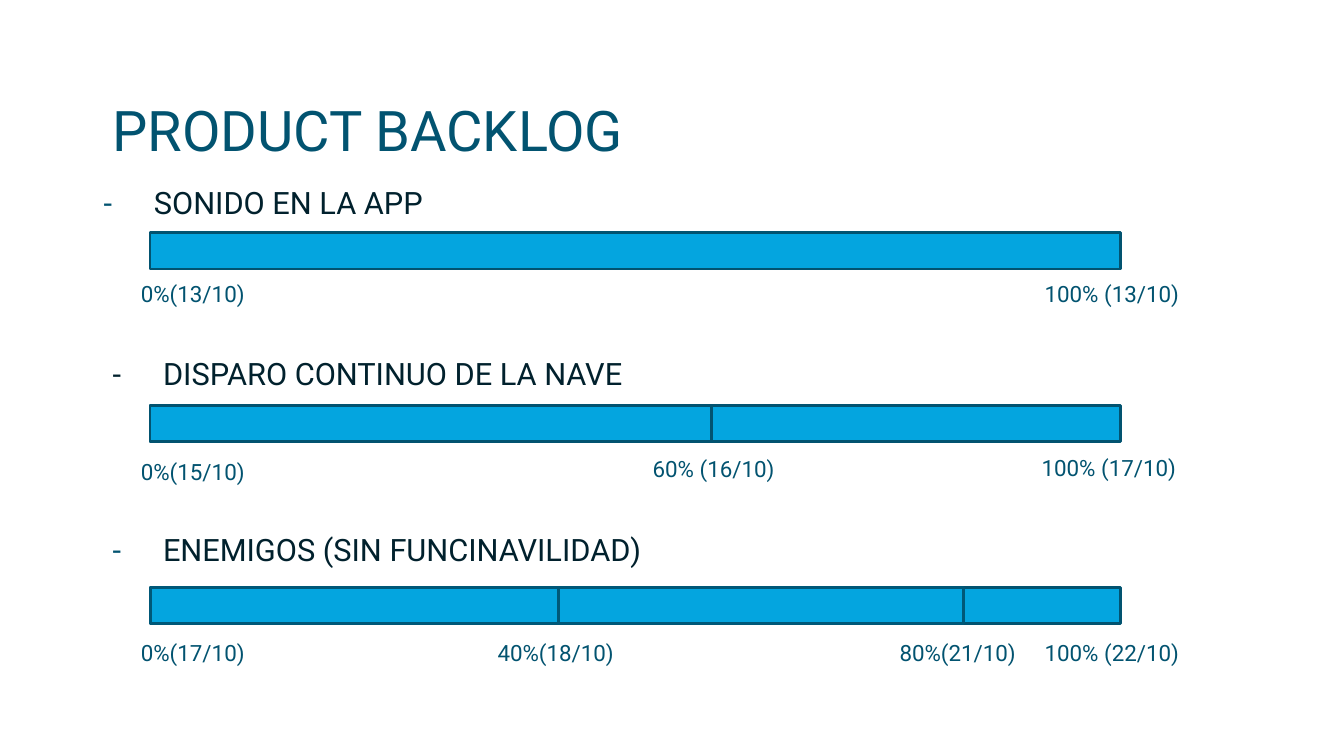
from dataclasses import dataclass

from lxml import etree
from pptx import Presentation
from pptx.dml.color import RGBColor
from pptx.enum.shapes import MSO_SHAPE
from pptx.oxml.ns import qn
from pptx.slide import Slide
from pptx.text.text import _Paragraph, _Run
from pptx.util import Inches, Pt

RECTANGLE = MSO_SHAPE.RECTANGLE
FONT = "Roboto"
COLORS = {
    "title": "025370",
    "heading": "01212D",
    "bar": "04A5DF",
    "outline": "025370",
    "stage_outline": "005878",
}
BAR_LEFT, BAR_WIDTH, BAR_HEIGHT = 1.49, 9.63, 0.36
HEADING_WIDTH, HEADING_TAB = 10.73, 0.5
LABEL_HEIGHT = 0.37


@dataclass(frozen=True)
class Label:
    text: str
    left: float
    top: float
    width: float = 1.41


@dataclass(frozen=True)
class Task:
    name: str
    heading_left: float
    heading_top: float
    heading_height: float
    dash_color: str
    bar_top: float
    stage_widths: tuple[float, ...]
    stage_outline: str
    labels: tuple[Label, ...]


TASKS = (
    Task("SONIDO EN LA APP", 0.93, 1.77, 0.84, "title", 2.31, (), "outline", (
        Label("0%(13/10)", 1.3, 2.73),
        Label("100% (13/10)", 10.27, 2.73, 1.68),
    )),
    Task("DISPARO CONTINUO DE LA NAVE", 1.02, 3.47, 0.47, "heading", 4.02, (5.57,), "outline", (
        Label("0%(15/10)", 1.3, 4.5),
        Label("60% (16/10)", 6.38, 4.47, 1.68),
        Label("100% (17/10)", 10.24, 4.46, 1.68),
    )),
    Task("ENEMIGOS (SIN FUNCINAVILIDAD)", 1.02, 5.22, 0.47, "title", 5.83, (4.05, 4.02), "stage_outline", (
        Label("0%(17/10)", 1.3, 6.29),
        Label("40%(18/10)", 4.84, 6.29),
        Label("80%(21/10)", 8.83, 6.29),
        Label("100% (22/10)", 10.27, 6.29, 1.68),
    )),
)


def format_run(run: _Run, size: float, color: str) -> None:
    run.font.name = FONT
    run.font.size = Pt(size)
    run.font.color.rgb = RGBColor.from_string(COLORS[color])


def add_text(slide: Slide, text: str, left: float, top: float, width: float,
             height: float, size: float, color: str) -> _Paragraph:
    shape = slide.shapes.add_textbox(Inches(left), Inches(top), Inches(width), Inches(height))
    shape.text_frame.word_wrap = True
    paragraph = shape.text_frame.paragraphs[0]
    paragraph.text = text
    format_run(paragraph.runs[0], size, color)
    return paragraph


def add_bar(slide: Slide, left: float, top: float, width: float, outline: str) -> None:
    shape = slide.shapes.add_shape(
        RECTANGLE, Inches(left), Inches(top), Inches(width), Inches(BAR_HEIGHT))
    shape.shadow.inherit = False
    shape.fill.solid()
    shape.fill.fore_color.rgb = RGBColor.from_string(COLORS["bar"])
    shape.line.color.rgb = RGBColor.from_string(COLORS[outline])
    shape.line.width = Pt(2)


def add_heading(slide: Slide, task: Task) -> None:
    paragraph = add_text(slide, "-\t", task.heading_left, task.heading_top,
                         HEADING_WIDTH, task.heading_height, 22, task.dash_color)
    tab_list = etree.SubElement(paragraph._p.get_or_add_pPr(), qn("a:tabLst"))
    etree.SubElement(tab_list, qn("a:tab"), pos=str(Inches(HEADING_TAB)), algn="l")
    name_run = paragraph.add_run()
    name_run.text = task.name
    format_run(name_run, 22, "heading")


def add_task(slide: Slide, task: Task) -> None:
    add_heading(slide, task)
    add_bar(slide, BAR_LEFT, task.bar_top, BAR_WIDTH, "outline")
    stage_left = BAR_LEFT
    for stage_width in task.stage_widths:
        add_bar(slide, stage_left, task.bar_top, stage_width, task.stage_outline)
        stage_left += stage_width
    for label in task.labels:
        add_text(slide, label.text, label.left, label.top, label.width, LABEL_HEIGHT, 16, "title")


def main() -> None:
    """Build the product backlog slide with one progress bar per task."""
    presentation = Presentation()
    presentation.slide_width = Inches(13.34)
    presentation.slide_height = Inches(7.5)
    slide = presentation.slides.add_slide(presentation.slide_layouts[6])
    add_text(slide, "PRODUCT BACKLOG", 1.02, 0.9, 11.59, 1.44, 40, "title")
    for task in TASKS:
        add_task(slide, task)
    presentation.save("out.pptx")


if __name__ == "__main__":
    main()
